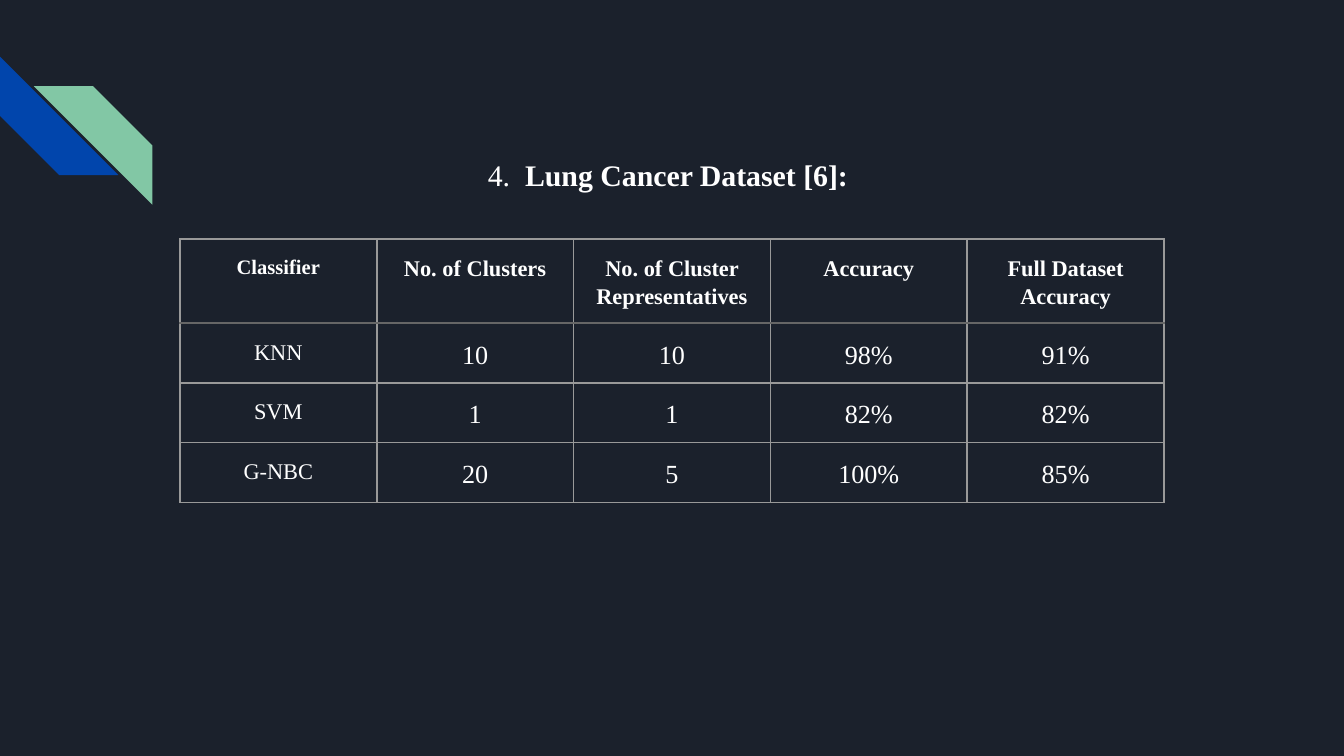
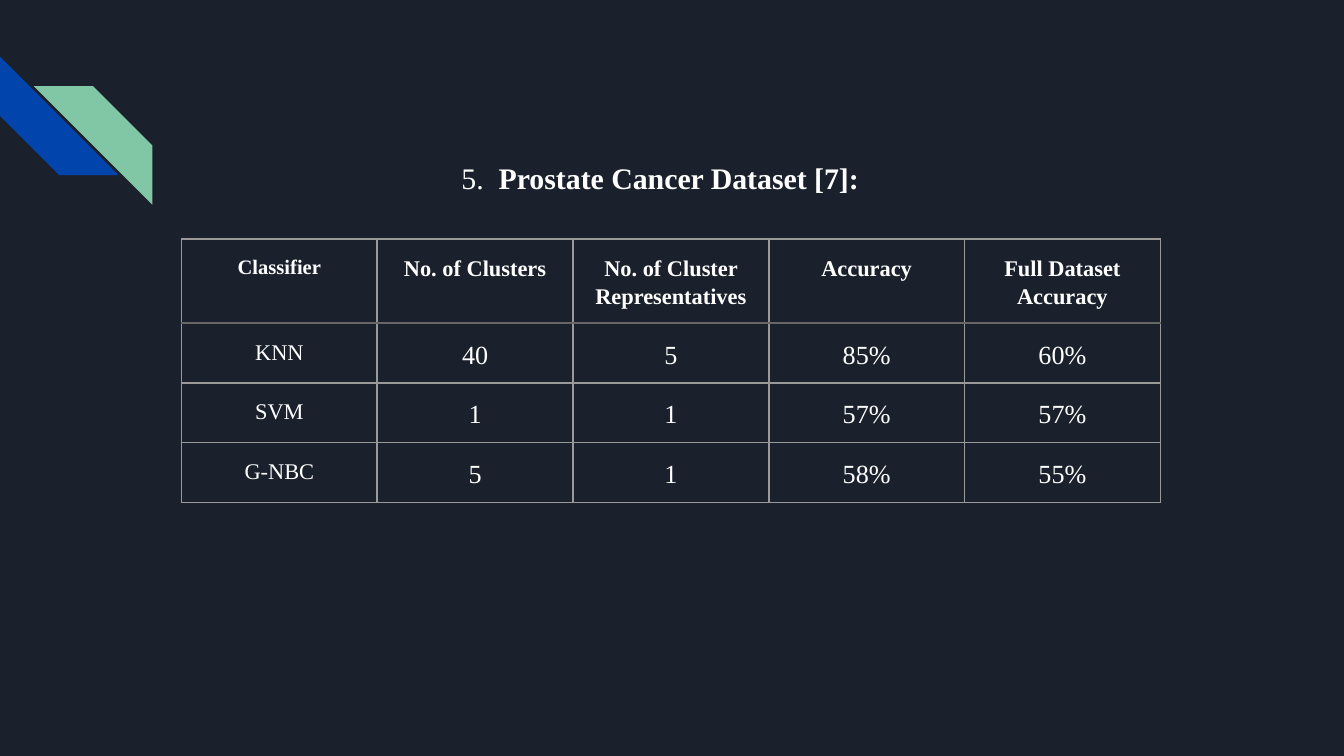
from lxml.etree import SubElement
from pptx import Presentation
from pptx.dml.color import RGBColor
from pptx.enum.shapes import MSO_SHAPE
from pptx.enum.text import MSO_ANCHOR, MSO_AUTO_SIZE, PP_ALIGN
from pptx.oxml.ns import qn
from pptx.util import Cm, Pt

NAVY, BLUE, GREEN, WHITE = "1B212C", "0145AC", "82C7A5", "FFFFFF"
GRAY, DARK = "999999", "666666"
FONT = "Times New Roman"
HEAD = ["Classifier", "No. of Clusters", "No. of Cluster Representatives",
        "Accuracy", "Full Dataset Accuracy"]

# Number, title, title box, table left, column width, rows (all lengths in cm)
DATA = [
    ("4.  ", "Lung Cancer Dataset [6]:", (8.86, 2.31, 8.26, 1.88), 3.4, 3.72,
     [["KNN", "10", "10", "98%", "91%"],
      ["SVM", "1", "1", "82%", "82%"],
      ["G-NBC", "20", "5", "100%", "85%"]]),
    ("5.  ", "Prostate Cancer Dataset [7]:", (8.36, 2.69, 8.99, 1.24), 3.43, 3.7,
     [["KNN", "40", "5", "85%", "60%"],
      ["SVM", "1", "1", "57%", "57%"],
      ["G-NBC", "5", "1", "58%", "55%"]]),
]


def paint(fill, color):
    fill.solid()
    fill.fore_color.rgb = RGBColor.from_string(color)


def add_run(par, text, size, bold):
    par.line_spacing = 1.15
    run = par.add_run()
    run.text = text
    run.font.name = FONT
    run.font.size = Pt(size)
    run.font.bold = bold
    paint(run.font.fill, WHITE)


prs = Presentation()
prs.slide_width, prs.slide_height = Cm(25.4), Cm(14.29)
paint(prs.slide_master.background.fill, NAVY)

for num, name, box, left, width, rows in DATA:
    slide = prs.slides.add_slide(prs.slide_layouts[5])

    for x, y, color, turn, flip in [(0, 1.07, BLUE, 270, "0"),
                                    (0.64, 1.63, GREEN, 0, "1")]:
        stripe = slide.shapes.add_shape(
            MSO_SHAPE.DIAGONAL_STRIPE, Cm(x), Cm(y), Cm(2.24), Cm(2.24))
        stripe.rotation = turn
        stripe.element.spPr.find(qn("a:xfrm")).set("flipH", flip)
        stripe.shadow.inherit = False
        paint(stripe.fill, color)
        stripe.line.fill.background()

    title = slide.shapes.title
    title.left, title.top, title.width, title.height = map(Cm, box)
    frame = title.text_frame
    frame.word_wrap = True
    frame.auto_size = MSO_AUTO_SIZE.NONE
    frame.vertical_anchor = MSO_ANCHOR.MIDDLE
    frame.margin_left = Cm(0.36)
    frame.margin_right = frame.margin_top = frame.margin_bottom = Cm(0.25)
    par = frame.paragraphs[0]
    par.alignment = PP_ALIGN.LEFT
    add_run(par, num, 16, False)
    add_run(par, name, 16, True)

    grid = [HEAD] + rows
    table = slide.shapes.add_table(
        len(grid), len(HEAD), Cm(left), Cm(4.52),
        Cm(width * len(HEAD)), Cm(4.98)).table
    table.first_row = table.horz_banding = False
    for col in table.columns:
        col.width = Cm(width)
    for r, texts in enumerate(grid):
        table.rows[r].height = Cm(1.13 if r else 1.59)
        for c, text in enumerate(texts):
            cell = table.cell(r, c)
            cell.margin_left = cell.margin_right = Cm(0.18)
            cell.margin_top = cell.margin_bottom = Cm(0.25)
            par = cell.text_frame.paragraphs[0]
            par.alignment = PP_ALIGN.CENTER
            size = (14 if c else 12) if r else (12 if c else 11)
            add_run(par, text, size, r == 0)

            # The rule under the header is darker and thicker
            props = cell._tc.get_or_add_tcPr()
            for side in "LRTB":
                rule = (r, side) in [(0, "B"), (1, "T")]
                line = SubElement(props, qn("a:ln" + side),
                                  w=str(Pt(1.5 if rule else 0.98)))
                fill = SubElement(line, qn("a:solidFill"))
                SubElement(fill, qn("a:srgbClr"), val=DARK if rule else GRAY)
            cell.fill.background()

prs.save("out.pptx")
